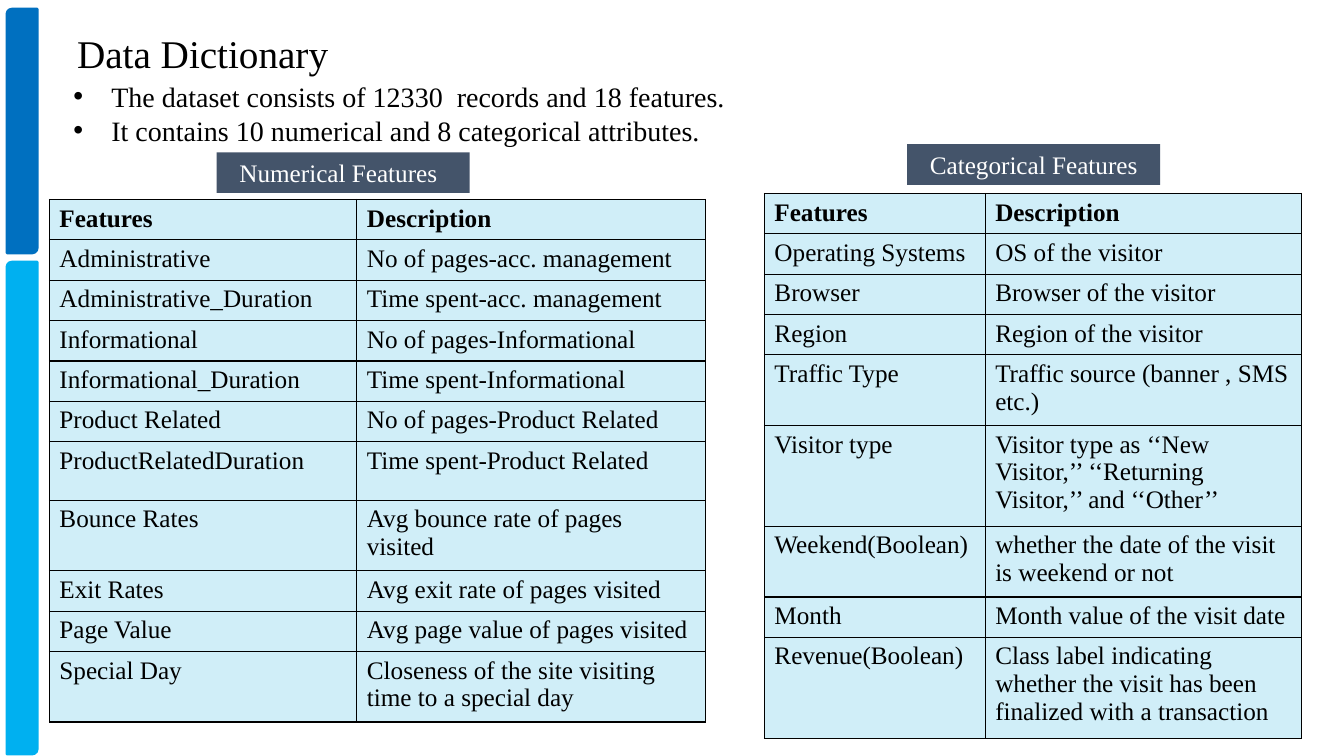
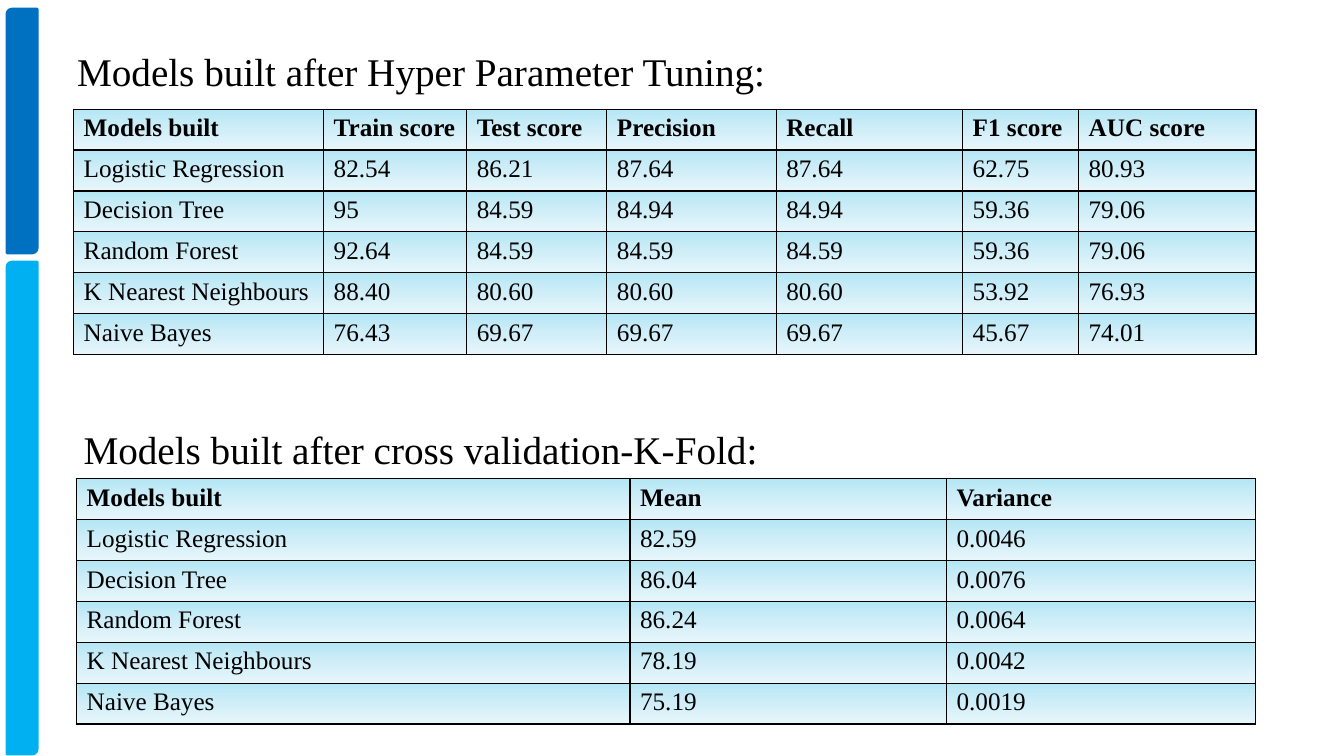
from lxml import etree
from pptx import Presentation
from pptx import util as u
from pptx.dml.color import RGBColor
from pptx.enum import shapes, text
from pptx.oxml import ns

FONT = "Times New Roman"
BLACK, WHITE, SLATE = "000000", "FFFFFF", "44546A"
SIDE_BARS = (("0070C0", 6.5, 174.2), ("00B0F0", 187.2, 351.4))
FLAT = "D0EEF8"
GRADIENT = ((0, "B5E6F5"), (50, "D0EEF8"), (100, "E8F6FB"))
ROW = 28.8

NUMERICAL = [
    ("Features", "Description"),
    ("Administrative", "No of pages-acc. management"),
    ("Administrative_Duration", "Time spent-acc. management"),
    ("Informational", "No of pages-Informational"),
    ("Informational_Duration", "Time spent-Informational"),
    ("Product Related", "No of pages-Product Related"),
    ("ProductRelatedDuration", "Time spent-Product Related"),
    ("Bounce Rates", "Avg bounce rate of pages visited"),
    ("Exit Rates", "Avg exit rate of pages visited"),
    ("Page Value", "Avg page value of pages visited"),
    ("Special Day", "Closeness of the site visiting time to a special day"),
]
CATEGORICAL = [
    ("Features", "Description"),
    ("Operating Systems", "OS of the visitor"),
    ("Browser", "Browser of the visitor"),
    ("Region", "Region of the visitor"),
    ("Traffic Type", "Traffic source (banner , SMS etc.)"),
    ("Visitor type", "Visitor type as ‘‘New Visitor,’’ ‘‘Returning Visitor,’’ and ‘‘Other’’"),
    ("Weekend(Boolean)", "whether the date of the visit is weekend or not"),
    ("Month", "Month value of the visit date"),
    ("Revenue(Boolean)", "Class label indicating whether the visit has been finalized with a transaction"),
]
TUNED = [
    ("Models built", "Train score", "Test score", "Precision", "Recall", "F1 score", "AUC score"),
    ("Logistic Regression", "82.54", "86.21", "87.64", "87.64", "62.75", "80.93"),
    ("Decision Tree", "95", "84.59", "84.94", "84.94", "59.36", "79.06"),
    ("Random Forest", "92.64", "84.59", "84.59", "84.59", "59.36", "79.06"),
    ("K Nearest Neighbours", "88.40", "80.60", "80.60", "80.60", "53.92", "76.93"),
    ("Naive Bayes", "76.43", "69.67", "69.67", "69.67", "45.67", "74.01"),
]
K_FOLD = [
    ("Models built", "Mean", "Variance"),
    ("Logistic Regression", "82.59", "0.0046"),
    ("Decision Tree", "86.04", "0.0076"),
    ("Random Forest", "86.24", "0.0064"),
    ("K Nearest Neighbours", "78.19", "0.0042"),
    ("Naive Bayes", "75.19", "0.0019"),
]


def rgb(value):
    """Turn a hex string into a colour."""
    return RGBColor.from_string(value)


def points(*values):
    """Turn numbers into lengths in points."""
    return [u.Pt(value) for value in values]


def add_xml(parent, tag, **attributes):
    """Append a DrawingML element and return it."""
    return etree.SubElement(parent, ns.qn(tag), attributes)


def style(paragraph, size, colour=BLACK, bold=False):
    """Set the font of a whole paragraph."""
    font = paragraph.font
    font.name, font.size, font.bold = FONT, u.Pt(size), bold
    font.color.rgb = rgb(colour)


def add_block(slide, kind, box, fill):
    """Add a filled shape without shadow or outline."""
    block = slide.shapes.add_shape(kind, *points(*box))
    block.shadow.inherit = False
    block.fill.solid()
    block.fill.fore_color.rgb = rgb(fill)
    block.line.fill.background()
    return block


def add_side_bars(slide):
    """Draw the two bars down the left edge."""
    for colour, top, height in SIDE_BARS:
        bar = add_block(slide, shapes.MSO_SHAPE.ROUND_2_DIAG_RECTANGLE,
                        (5, top, 21.6, height), colour)
        bar.line.color.rgb = rgb(colour)
        bar.line.width = u.Pt(2)


def add_text(slide, box, lines, size):
    """Add a wrapping text box and return its paragraphs."""
    frame = slide.shapes.add_textbox(*points(*box)).text_frame
    frame.word_wrap = True
    frame.text = "\n".join(lines)
    for paragraph in frame.paragraphs:
        style(paragraph, size)
    return frame.paragraphs


def add_title(slide, left, top, width, title):
    """Add a heading line."""
    add_text(slide, (left, top, width, 41), [title], 28)


def add_bullets(slide, box, lines):
    """Add a bulleted list with a hanging indent."""
    for paragraph in add_text(slide, box, lines, 20):
        properties = paragraph._p.get_or_add_pPr()
        properties.set("marL", str(u.Pt(27)))
        properties.set("indent", str(-u.Pt(27)))
        bullet_font = etree.Element(ns.qn("a:buFont"), typeface="Arial")
        bullet = etree.Element(ns.qn("a:buChar"), char="•")
        properties.insert(0, bullet_font)
        properties.insert(1, bullet)


def add_caption(slide, left, top, caption):
    """Add the dark band above a feature table."""
    band = add_block(slide, shapes.MSO_SHAPE.RECTANGLE, (left, top, 180.8, 29), SLATE)
    frame = band.text_frame
    frame.margin_left = u.Pt(16.2)
    frame.vertical_anchor = text.MSO_ANCHOR.MIDDLE
    frame.text = caption
    frame.paragraphs[0].alignment = text.PP_ALIGN.LEFT
    style(frame.paragraphs[0], 18, WHITE)


def format_cell(cell, gradient):
    """Give a cell black borders and a flat or gradient fill."""
    properties = cell._tc.get_or_add_tcPr()
    for side in ("a:lnL", "a:lnR", "a:lnT", "a:lnB"):
        border = add_xml(properties, side, w=str(u.Pt(1)))
        add_xml(add_xml(border, "a:solidFill"), "a:srgbClr", val=BLACK)
    if not gradient:
        cell.fill.solid()
        cell.fill.fore_color.rgb = rgb(FLAT)
        return
    fill = add_xml(properties, "a:gradFill", rotWithShape="1")
    stops = add_xml(fill, "a:gsLst")
    for position, colour in GRADIENT:
        stop = add_xml(stops, "a:gs", pos=str(position * 1000))
        add_xml(stop, "a:srgbClr", val=colour)
    add_xml(fill, "a:lin", ang="5400000", scaled="0")


def add_grid(slide, left, top, widths, heights, records, gradient=False):
    """Add a bordered table whose first record is the bold header."""
    box = points(left, top, sum(widths), sum(heights))
    table = slide.shapes.add_table(len(records), len(widths), *box).table
    table.horz_banding = False
    for column, width in zip(table.columns, widths):
        column.width = u.Pt(width)
    for index, (row, height, record) in enumerate(zip(table.rows, heights, records)):
        row.height = u.Pt(height)
        for cell, entry in zip(row.cells, record):
            cell.text = entry
            style(cell.text_frame.paragraphs[0], 18, bold=index == 0)
            format_cell(cell, gradient)


def add_slide(deck):
    """Add a blank slide with the side bars."""
    slide = deck.slides.add_slide(deck.slide_layouts[6])
    add_side_bars(slide)
    return slide


def build_dictionary(deck):
    """Build the slide that lists the features."""
    slide = add_slide(deck)
    add_title(slide, 48, 17.5, 348, "Data Dictionary")
    add_bullets(slide, (45.4, 53.3, 660, 55.7), [
        "The dataset consists of 12330  records and 18 features.",
        "It contains 10 numerical and 8 categorical attributes.",
    ])
    add_caption(slide, 154.8, 108.8, "Numerical Features")
    add_caption(slide, 648, 103, "Categorical Features")
    add_grid(slide, 35.3, 142.5, (219.6, 249.1),
             [ROW] * 6 + [41.8, 50.4, ROW, ROW, 50.4], NUMERICAL)
    add_grid(slide, 546, 138.2, (157.7, 226.1),
             [ROW] * 4 + [50.4, 72, 50.4, ROW, 72], CATEGORICAL)


def build_models(deck):
    """Build the slide that compares model scores."""
    slide = add_slide(deck)
    add_title(slide, 48, 30.5, 828, "Models built after Hyper Parameter Tuning:")
    add_title(slide, 52.6, 300.5, 720, "Models built after cross validation-K-Fold:")
    add_grid(slide, 52.6, 78, (178.6, 102.2, 100.1, 121, 133.2, 82.8, 126.7),
             [29.2] * len(TUNED), TUNED, gradient=True)
    add_grid(slide, 54.7, 342, (395.3, 226.1, 221),
             [29.2] * len(K_FOLD), K_FOLD, gradient=True)


def main():
    """Build and save the deck."""
    deck = Presentation()
    deck.slide_width, deck.slide_height = points(960, 540)
    build_dictionary(deck)
    build_models(deck)
    deck.save("out.pptx")


if __name__ == "__main__":
    main()
